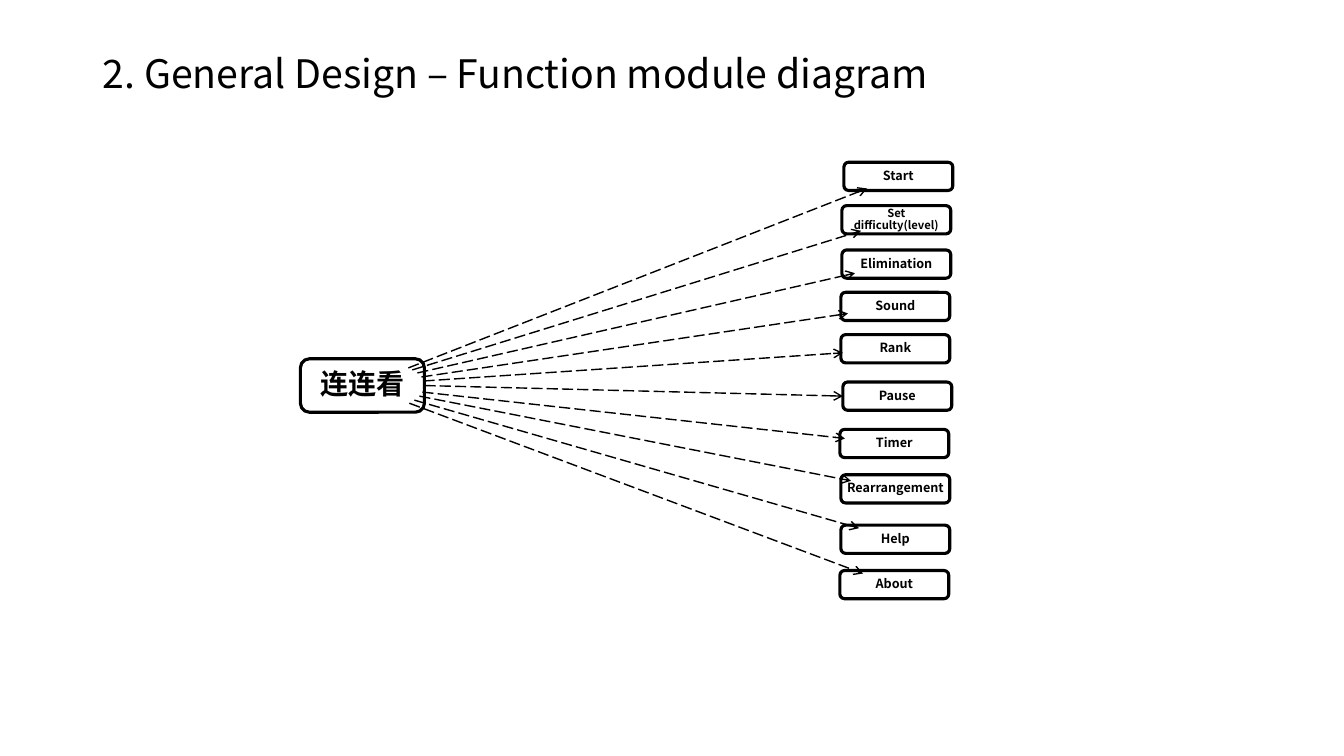
from lxml import etree
from pptx import Presentation
from pptx.dml.color import RGBColor
from pptx.enum.dml import MSO_LINE
from pptx.enum.shapes import MSO_CONNECTOR, MSO_SHAPE
from pptx.enum.text import MSO_ANCHOR, PP_ALIGN
from pptx.oxml.ns import qn
from pptx.util import Inches, Pt

BLACK = RGBColor(0x00, 0x00, 0x00)
FONT = "Noto Sans CJK KR"
RIGHT, LEFT = 3, 1
MODULE_W, MODULE_H = 1.08, 0.28

# label, text size, box left and top, arrow start, arrow end
MODULES = [
    ("Start", 9, (8.37, 1.61), (4.05, 3.65), (8.6, 1.87)),
    ("Set difficulty(level)", 8, (8.35, 2.04), (4.09, 3.67), (8.54, 2.29)),
    ("Elimination", 9, (8.35, 2.48), (4.14, 3.7), (8.48, 2.71)),
    ("Sound", 9, (8.34, 2.9), (4.18, 3.74), (8.41, 3.11)),
    ("Rank", 9, (8.34, 3.32), (4.2, 3.78), (8.36, 3.5)),
    ("Pause", 9, (8.36, 3.79), (4.21, 3.84), (8.36, 3.92)),
    ("Timer", 9, (8.33, 4.26), (4.19, 3.89), (8.38, 4.35)),
    ("Rearrangement", 9, (8.34, 4.71), (4.16, 3.93), (8.44, 4.77)),
    ("Help", 9, (8.34, 5.21), (4.11, 3.97), (8.52, 5.24)),
    ("About", 9, (8.33, 5.66), (4.06, 4), (8.56, 5.69)),
]


class Diagram:
    """Holds the slide and the style shared by its elements."""

    text_style = {"name": FONT}
    box_line = Pt(2.25)
    arrow_line = Pt(1)

    def __init__(self, slide):
        self.s = slide

    def put_text(self, sp, text, size, align, inset, bold=False):
        tf = sp.text_frame
        side, end = map(Inches, inset)
        frame = {"word_wrap": True, "vertical_anchor": MSO_ANCHOR.MIDDLE,
                 "margin_left": side, "margin_right": side,
                 "margin_top": end, "margin_bottom": end}
        for key, value in frame.items():
            setattr(tf, key, value)
        p = tf.paragraphs[0]
        p.alignment, p.line_spacing = align, 0.9
        r = p.add_run()
        r.text = text
        for key, value in {**self.text_style, "size": Pt(size), "bold": bold}.items():
            setattr(r.font, key, value)
        r.font.color.rgb = BLACK
        etree.SubElement(r._r.get_or_add_rPr(), qn("a:ea"), typeface=FONT)

    def title(self, text):
        sp = self.s.shapes.title
        sp.left, sp.top, sp.width, sp.height = map(Inches, (0.92, 0.4, 11.5, 0.71))
        self.put_text(sp, text, 28, PP_ALIGN.LEFT, (0.1, 0.05))

    def box(self, text, size, x, y, w, h):
        sp = self.s.shapes.add_shape(MSO_SHAPE.ROUNDED_RECTANGLE,
                                     *map(Inches, (x, y, w, h)))
        sp.shadow.inherit = False
        sp.fill.background()
        sp.line.color.rgb = BLACK
        sp.line.width = self.box_line
        self.put_text(sp, text, size, PP_ALIGN.CENTER, (0.03, 0.01), bold=True)
        return sp

    def arrow(self, start, end):
        c = self.s.shapes.add_connector(MSO_CONNECTOR.STRAIGHT,
                                        *map(Inches, (*start, *end)))
        c.line.color.rgb = BLACK
        c.line.width = self.arrow_line
        c.line.dash_style = MSO_LINE.LONG_DASH
        spPr = c._element.spPr
        etree.SubElement(spPr.find(qn("a:ln")), qn("a:tailEnd"), type="arrow")
        etree.SubElement(spPr, qn("a:effectLst"))
        return c


def main():
    prs = Presentation()
    prs.slide_width, prs.slide_height = Inches(13.33), Inches(7.5)
    diagram = Diagram(prs.slides.add_slide(prs.slide_layouts[5]))
    diagram.title("2. General Design – Function module diagram")
    game = diagram.box("连连看", 20, 2.98, 3.56, 1.23, 0.53)
    for label, size, corner, start, end in MODULES:
        module = diagram.box(label, size, *corner, MODULE_W, MODULE_H)
        arrow = diagram.arrow(start, end)
        if label == "Pause":  # the only arrow that runs from side to side
            arrow.begin_connect(game, RIGHT)
            arrow.end_connect(module, LEFT)
    prs.save("out.pptx")


if __name__ == "__main__":
    main()
